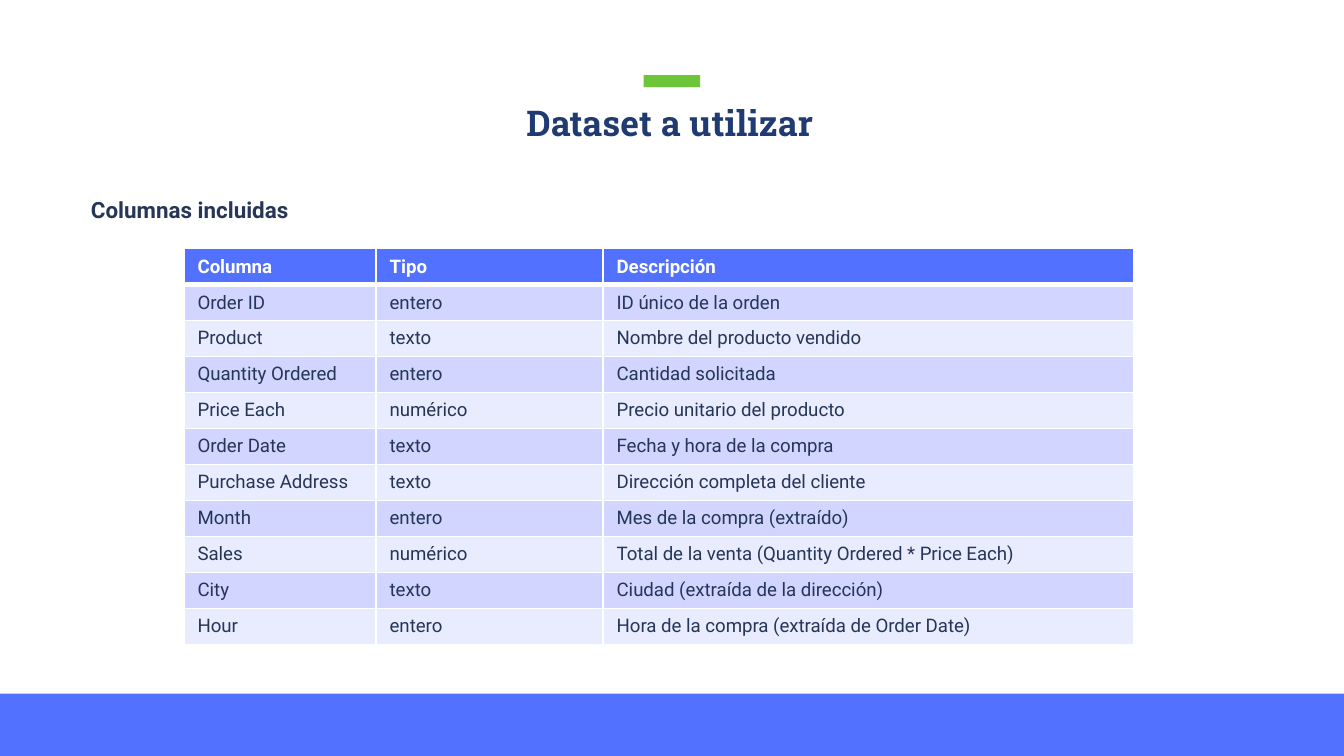
from lxml import etree
from pptx import Presentation
from pptx import util as u
from pptx.dml.color import RGBColor
from pptx.enum import shapes, text
from pptx.oxml.ns import qn

WHITE = RGBColor(0xFF, 0xFF, 0xFF)
BLUE = RGBColor(0x52, 0x71, 0xFF)
GREEN = RGBColor(0x6D, 0xC5, 0x3A)
NAVY = RGBColor(0x1F, 0x3B, 0x72)
INK = RGBColor(0x25, 0x36, 0x56)
STRIPES = (RGBColor(0xD1, 0xD5, 0xFF), RGBColor(0xE9, 0xEB, 0xFF))

TITLE = {"name": "Roboto Slab", "size": u.Pt(19), "bold": True, "color": NAVY}
SUBTITLE = {"name": "Roboto", "size": u.Pt(12), "bold": True, "color": INK}
HEADER = {"name": "Roboto", "size": u.Pt(10), "bold": True, "color": WHITE}
BODY = {**HEADER, "bold": False, "color": INK}

WIDTH, HEIGHT = 25.4, 14.29
COLUMN_WIDTHS = (3.63, 4.29, 10.03)
ROW_HEIGHT = 0.68
ROWS = [
    ("Columna", "Tipo", "Descripción"),
    ("Order ID", "entero", "ID único de la orden"),
    ("Product", "texto", "Nombre del producto vendido"),
    ("Quantity Ordered", "entero", "Cantidad solicitada"),
    ("Price Each", "numérico", "Precio unitario del producto"),
    ("Order Date", "texto", "Fecha y hora de la compra"),
    ("Purchase Address", "texto", "Dirección completa del cliente"),
    ("Month", "entero", "Mes de la compra (extraído)"),
    ("Sales", "numérico", "Total de la venta (Quantity Ordered * Price Each)"),
    ("City", "texto", "Ciudad (extraída de la dirección)"),
    ("Hour", "entero", "Hora de la compra (extraída de Order Date)"),
]


def write(para, words, style):
    span = para.add_run()
    span.text = words
    for key, value in style.items():
        if key == "color":
            span.font.color.rgb = value
        else:
            setattr(span.font, key, value)


def add_bar(page, box, color):
    bar = page.shapes.add_shape(shapes.MSO_SHAPE.RECTANGLE, *map(u.Cm, box))
    bar.shadow.inherit = False
    bar.fill.solid()
    bar.fill.fore_color.rgb = color
    bar.line.fill.background()


def add_text(page, box, words, style, frame_format, para_format):
    frame = page.shapes.add_textbox(*map(u.Cm, box)).text_frame
    para = frame.paragraphs[0]
    frame_format = {"word_wrap": True,
                    "auto_size": text.MSO_AUTO_SIZE.SHAPE_TO_FIT_TEXT,
                    **frame_format}
    for target, values in ((frame, frame_format), (para, para_format)):
        for key, value in values.items():
            setattr(target, key, value)
    write(para, words, style)


def add_title(page, box):
    """Place the centred title below its accent bar."""
    left, top, width, height = box
    bar_width, bar_height = 1.07, 0.23
    add_bar(page, ((WIDTH - bar_width) / 2, top, bar_width, bar_height), GREEN)
    sides = ("left", "top", "right", "bottom")
    add_text(page, (left, top + 0.61, width, height - 0.61),
             "Dataset a utilizar", TITLE,
             {f"margin_{side}": 0 for side in sides},
             {"alignment": text.PP_ALIGN.CENTER, "line_spacing": u.Pt(19.3)})


def set_borders(cell, bottom_width):
    """Give the cell white edges; call before setting its fill."""
    properties = cell._tc.get_or_add_tcPr()
    for edge, points in (("L", 1), ("R", 1), ("T", 1), ("B", bottom_width)):
        line = etree.SubElement(properties, qn(f"a:ln{edge}"), w=str(u.Pt(points)))
        fill = etree.SubElement(line, qn("a:solidFill"))
        etree.SubElement(fill, qn("a:srgbClr"), val=str(WHITE))


def add_column_table(page, left, top):
    box = (left, top, sum(COLUMN_WIDTHS), ROW_HEIGHT * len(ROWS))
    table = page.shapes.add_table(len(ROWS), len(COLUMN_WIDTHS),
                                  *map(u.Cm, box)).table
    for column, width in zip(table.columns, COLUMN_WIDTHS):
        column.width = u.Cm(width)
    for index, (row, values) in enumerate(zip(table.rows, ROWS)):
        row.height = u.Cm(ROW_HEIGHT)
        is_header = index == 0
        for cell, words in zip(row.cells, values):
            set_borders(cell, 3 if is_header else 1)
            cell.fill.solid()
            cell.fill.fore_color.rgb = BLUE if is_header else STRIPES[(index - 1) % 2]
            cell.vertical_anchor = text.MSO_ANCHOR.MIDDLE
            write(cell.text_frame.paragraphs[0], words, HEADER if is_header else BODY)


def main():
    deck = Presentation()
    deck.slide_width, deck.slide_height = u.Cm(WIDTH), u.Cm(HEIGHT)
    page = deck.slides.add_slide(deck.slide_layouts[6])
    add_bar(page, (0, 13.11, WIDTH, HEIGHT - 13.11), BLUE)
    add_title(page, (1.98, 1.42, 21.36, 1.3))
    add_text(page, (1.47, 3.58, 22.3, 0.76), "Columnas incluidas", SUBTITLE, {}, {})
    add_column_table(page, 3.48, 4.7)
    deck.save("out.pptx")


if __name__ == "__main__":
    main()
